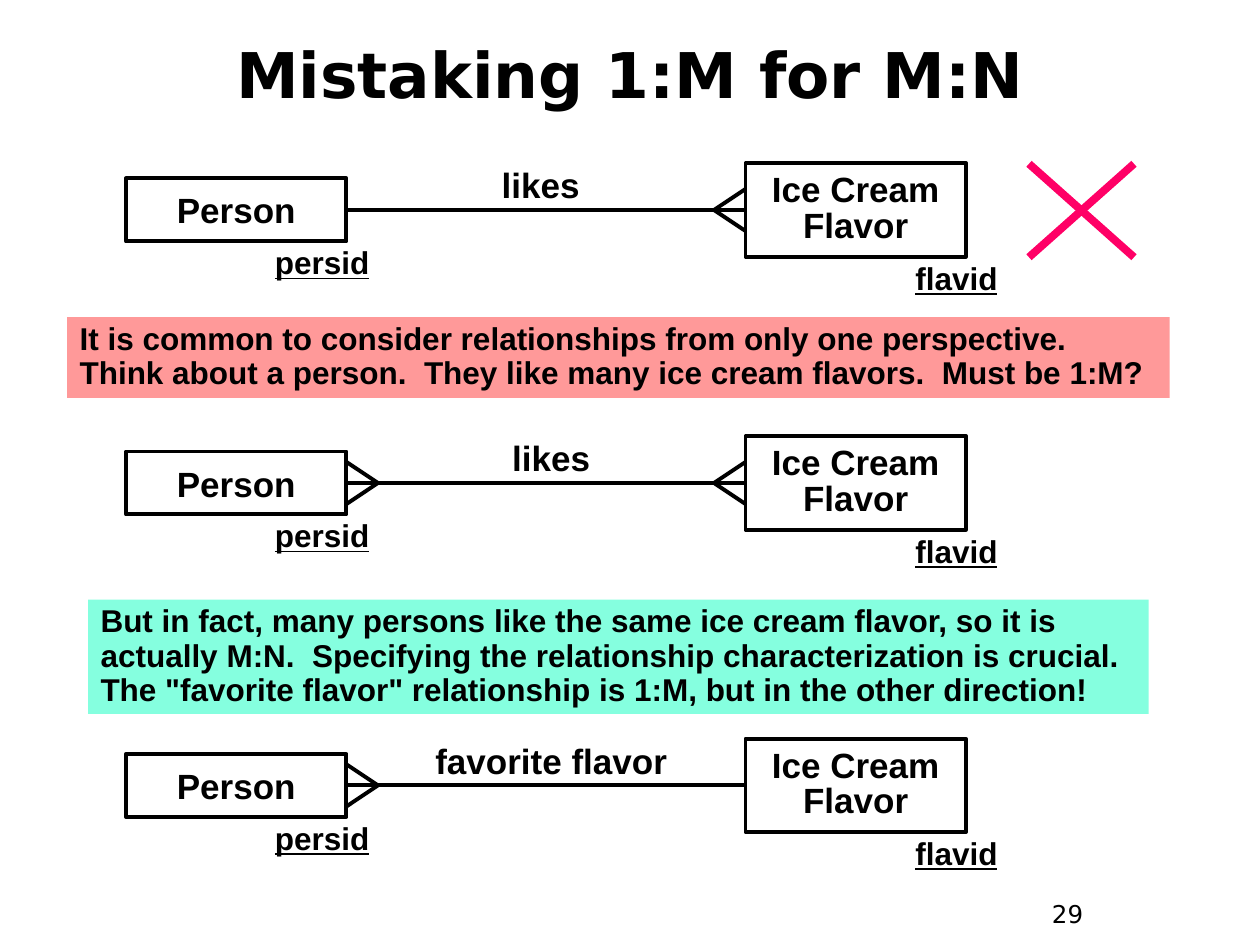
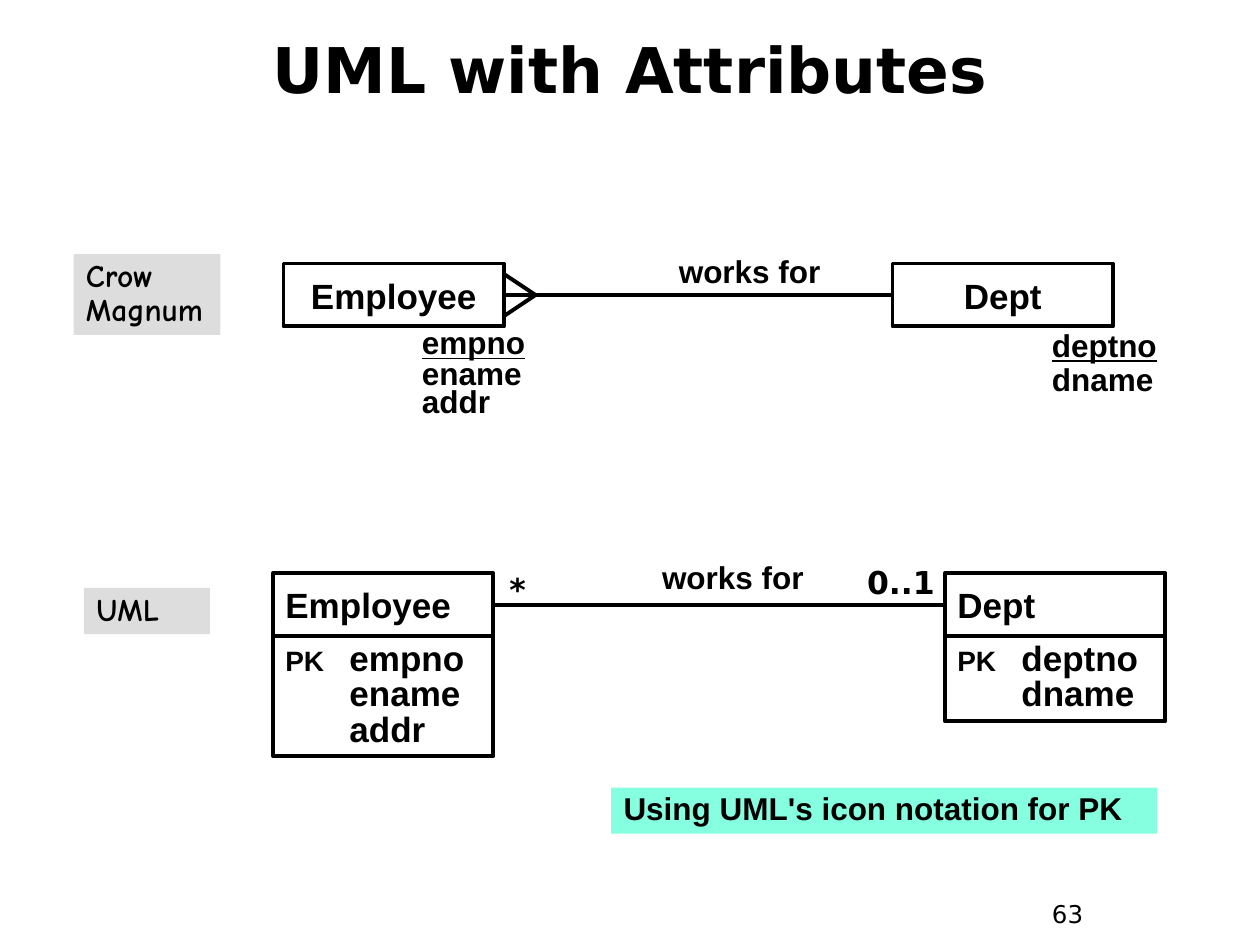
import pptx
import pptx.util
import pptx.dml.color
import pptx.enum.shapes
import pptx.enum.text
import lxml.etree

BLACK = pptx.dml.color.RGBColor(0x00, 0x00, 0x00)
SALMON = pptx.dml.color.RGBColor(0xFF, 0x99, 0x99)
MINT = pptx.dml.color.RGBColor(0x85, 0xFF, 0xDF)
GRAY = pptx.dml.color.RGBColor(0xDD, 0xDD, 0xDD)
PINK = pptx.dml.color.RGBColor(0xFF, 0x00, 0x66)

LEFT = pptx.enum.text.PP_ALIGN.LEFT
CENTER = pptx.enum.text.PP_ALIGN.CENTER
TOP = pptx.enum.text.MSO_ANCHOR.TOP
MIDDLE = pptx.enum.text.MSO_ANCHOR.MIDDLE
A = "{http://schemas.openxmlformats.org/drawingml/2006/main}"

prs = pptx.Presentation()
prs.slide_width = pptx.util.Inches(10)
prs.slide_height = pptx.util.Inches(7.5)
COL = prs.slide_width / 120
ROW = prs.slide_height / 90

BASE = dict(name="Arial", size=18, bold=True, align=LEFT, anchor=TOP,
            spacing=1.0, fill=None, border=False)
TITLE = dict(name="DejaVu Sans", size=36, align=CENTER, anchor=MIDDLE)
NUMBER = dict(name="DejaVu Sans", size=14, bold=False)
ENTITY = dict(size=20, align=CENTER, anchor=MIDDLE, border=True)
LABEL = dict(size=20, align=CENTER)
ROLE = dict(align=CENTER, spacing=0.85)
MULTIPLICITY = dict(name="DejaVu Sans", align=CENTER)
NOTE = dict(spacing=0.9)
TAG = dict(name="Comic Neue", spacing=0.9, fill=GRAY)


def put(s, box, paragraphs, fmt):
    f = {**BASE, **fmt}
    x, y, w, h = box
    pos = [int(v) for v in (x * COL, y * ROW, w * COL, h * ROW)]
    if f["fill"] is not None or f["border"]:
        sp = s.shapes.add_shape(pptx.enum.shapes.MSO_SHAPE.RECTANGLE, *pos)
        sp.shadow.inherit = False
        if f["fill"] is not None:
            sp.fill.solid()
            sp.fill.fore_color.rgb = f["fill"]
        else:
            sp.fill.background()
        if f["border"]:
            sp.line.color.rgb = BLACK
            sp.line.width = pptx.util.Pt(2.25)
        else:
            sp.line.fill.background()
    else:
        sp = s.shapes.add_textbox(*pos)
    tf = sp.text_frame
    tf.word_wrap = True
    tf.vertical_anchor = f["anchor"]
    for i, runs in enumerate(paragraphs):
        p = tf.add_paragraph() if i else tf.paragraphs[0]
        p.alignment = f["align"]
        p.line_spacing = f["spacing"]
        for text in runs:
            for j, part in enumerate(text.split("\n")):
                if j:
                    p.add_line_break()
                p.add_run().text = part
        for r in p.runs:
            for key, value in dict(name=f["name"], size=pptx.util.Pt(f["size"]),
                                   bold=f["bold"]).items():
                setattr(r.font, key, value)
            r.font.color.rgb = BLACK
    return sp


def draw_line(s, x1, y1, x2, y2, color=BLACK, width=2.25):
    ends = [int(v) for v in (x1 * COL, y1 * ROW, x2 * COL, y2 * ROW)]
    c = s.shapes.add_connector(pptx.enum.shapes.MSO_CONNECTOR.STRAIGHT, *ends)
    c.line.color.rgb = color
    c.line.width = pptx.util.Pt(width)
    lxml.etree.SubElement(c._element.spPr, A + "effectLst")
    return c


slides = []
for title, box, number in [
    ("Mistaking 1:M for M:N", (4, 2, 112, 10), "29"),
    ("UML with Attributes", (2, 1, 116, 11), "63"),
]:
    s = prs.slides.add_slide(prs.slide_layouts[6])
    put(s, box, [[title]], TITLE)
    put(s, (99, 85, 9, 4.4), [[number]], NUMBER)
    slides.append(s)

s = slides[0]
for cy, label, label_x, many_persons, many_flavors in [
    (20, "likes", 39, False, True),
    (46, "likes", 40, True, True),
    (74.8, "favorite flavor", 40, True, False),
]:
    person = put(s, (12, cy - 3, 21, 6), [["Person"]], ENTITY)
    flavor = put(s, (71, cy - 4.45, 21, 8.9), [["Ice Cream\nFlavor"]],
                 {**ENTITY, "spacing": 0.85})
    for x, y, key in [(25, cy + 3, "persid"), (86, cy + 4.45, "flavid")]:
        sp = put(s, (x, y, 14, 4.4), [[key]], NOTE)
        sp.text_frame.paragraphs[0].runs[0].font.underline = True
    c = draw_line(s, 33, cy, 71, cy)
    c.begin_connect(person, 3)
    c.end_connect(flavor, 1)
    for many, tip, edge in [(many_persons, 36, 33), (many_flavors, 68, 71)]:
        if many:
            for dy in (-2, 2):
                draw_line(s, tip, cy, edge, cy + dy)
    put(s, (label_x, cy - 5, 25, 5.3), [[label]], LABEL)

put(s, (6.4, 30.2, 105, 7.7),
    [["It is common to consider relationships from only one perspective.  "
      "Think about a person.  They like many ice cream flavors.  Must be 1:M?"]],
    {**NOTE, "fill": SALMON})
put(s, (8.4, 57.1, 101, 10.9),
    [["But in fact, many persons like the same ice cream flavor, so it is "
      "actually M:N.  Specifying the relationship characterization is crucial.  "
      "The \"favorite flavor\" relationship is 1:M, but in the other direction!"]],
    {**NOTE, "fill": MINT})
for y1, y2 in [(15.6, 24.5), (24.5, 15.6)]:
    draw_line(s, 98, y1, 108, y2, PINK, 4.5)

s = slides[1]
put(s, (7, 24.2, 14, 7.7), [["Crow\nMagnum"]], TAG)
put(s, (8, 56, 12, 4.4), [["UML"]], TAG)

for cy, left_x, right_x, align, role_x, role_y in [
    (28.1, 27, 85, CENTER, 61.4, 24),
    (57.6, 26, 90, LEFT, 59.8, 53.1),
]:
    employee, dept = [
        put(s, (x, cy - 3, 21, 6), [[name]], {**ENTITY, "align": align})
        for x, name in [(left_x, "Employee"), (right_x, "Dept")]
    ]
    c = draw_line(s, left_x + 21, cy, right_x, cy)
    c.begin_connect(employee, 3)
    c.end_connect(dept, 1)
    put(s, (role_x, role_y, 20, 4.3), [["works for"]], ROLE)

for dy in (-2, 2):
    draw_line(s, 51, 28.1, 48, 28.1 + dy)

for box, names, spacings in [
    ((39, 31.2, 14, 9.4), ["empno", "ename", "addr"], [0.7, 0.85, 0.7]),
    ((99, 31, 14, 7.6), ["deptno", "dname"], [0.85, 0.9]),
]:
    tf = put(s, box, [[name] for name in names], {}).text_frame
    for p, spacing in zip(tf.paragraphs, spacings):
        p.line_spacing = spacing
    tf.paragraphs[0].runs[0].font.underline = True

put(s, (44.3, 54.1, 10, 4.4), [["*"]], {**MULTIPLICITY, "spacing": 0.9})
put(s, (80.8, 53, 10, 4.8), [["0..1"]], MULTIPLICITY)

for x, h, key, others in [
    (26, 11.4, "empno", ["ename", "addr"]),
    (90, 8.1, "deptno", ["dname"]),
]:
    rows = [["PK", "\t" + key]] + [["\t" + name] for name in others]
    tf = put(s, (x, 60.6, 21, h), rows,
             dict(size=20, spacing=0.85, border=True)).text_frame
    tf.paragraphs[0].runs[0].font.size = pptx.util.Pt(16)
    for p in tf.paragraphs:
        tabs = lxml.etree.SubElement(p._p.get_or_add_pPr(), A + "tabLst")
        lxml.etree.SubElement(tabs, A + "tab", pos=str(int(6.1 * COL)), algn="l")

put(s, (58.2, 75, 52, 4.4), [["Using UML's icon notation for PK"]],
    {**NOTE, "fill": MINT})

prs.save("out.pptx")
